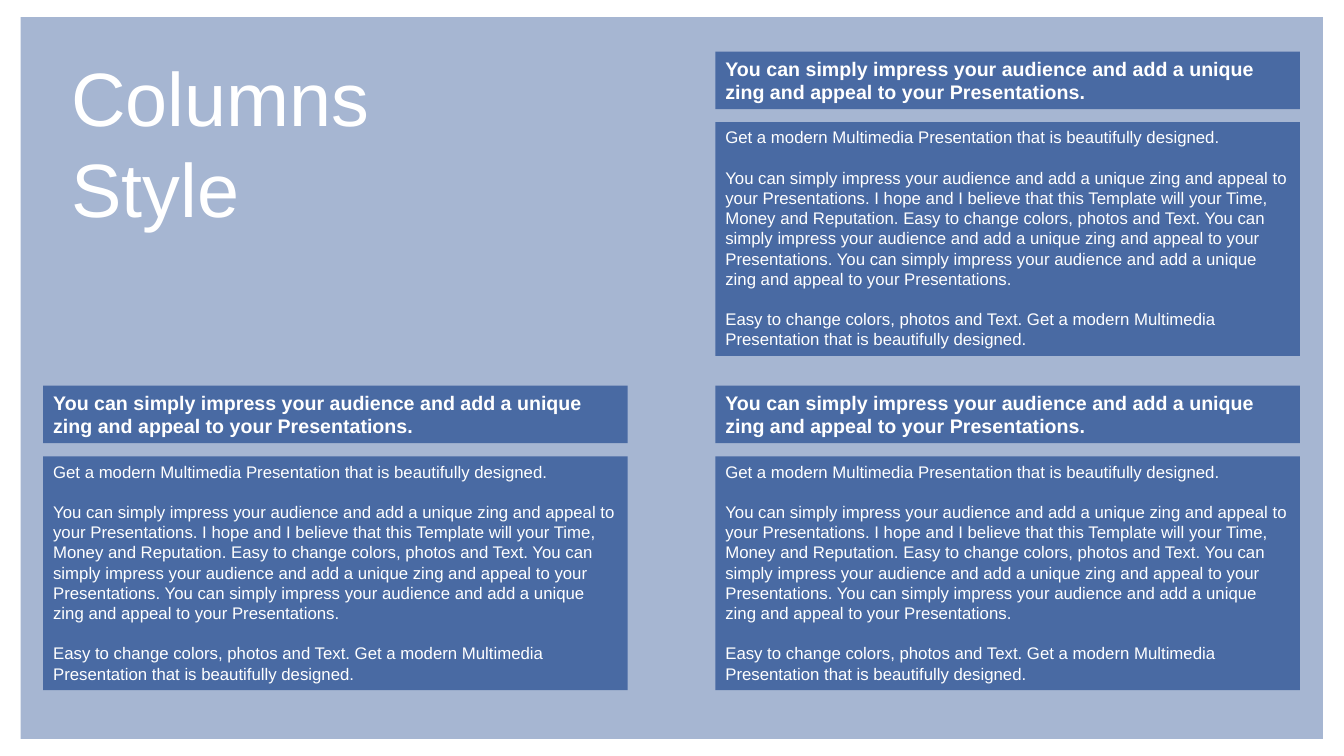
from lxml import etree
from pptx import Presentation
from pptx.dml.color import RGBColor
from pptx.enum.shapes import MSO_SHAPE
from pptx.enum.text import MSO_ANCHOR, PP_ALIGN
from pptx.oxml.ns import qn
from pptx.util import Cm, Pt

NAVY = "224A90"
WHITE = "FFFFFF"
HEADING = "You can simply impress your audience and add a unique zing and appeal to your Presentations."
BODY = [
    "Get a modern Multimedia Presentation that is beautifully designed.",
    "You can simply impress your audience and add a unique zing and appeal to your "
    "Presentations. I hope and I believe that this Template will your Time, Money and "
    "Reputation. Easy to change colors, photos and Text. You can simply impress your "
    "audience and add a unique zing and appeal to your Presentations. You can simply "
    "impress your audience and add a unique zing and appeal to your Presentations.",
    "Easy to change colors, photos and Text. Get a modern Multimedia Presentation that is "
    "beautifully designed.",
]


def add_panel(left, top, width, height, opacity):
    """Add a borderless navy rectangle; lengths in cm, opacity in percent."""
    panel = slide.shapes.add_shape(
        MSO_SHAPE.RECTANGLE, Cm(left), Cm(top), Cm(width), Cm(height))
    panel.shadow.inherit = False
    panel.line.fill.background()
    panel.fill.solid()
    panel.fill.fore_color.rgb = RGBColor.from_string(NAVY)
    color = panel.fill._xPr.find(qn("a:solidFill"))[0]
    etree.SubElement(color, qn("a:alpha")).set("val", str(opacity * 1000))
    return panel


def write(box, *paragraphs, size, bold=False, gap=0, anchor=MSO_ANCHOR.TOP):
    frame = box.text_frame
    frame.word_wrap = True
    frame.vertical_anchor = anchor
    for index, text in enumerate(paragraphs):
        paragraph = frame.add_paragraph() if index else frame.paragraphs[0]
        paragraph.alignment = PP_ALIGN.LEFT
        if index:
            paragraph.space_before = Pt(gap)
        run = paragraph.add_run()
        run.text = text
        run.font.name = "Arial"
        run.font.size = Pt(size)
        run.font.bold = bold
        run.font.color.rgb = RGBColor.from_string(WHITE)


prs = Presentation()
prs.slide_width, prs.slide_height = Cm(33.87), Cm(19.05)
slide = prs.slides.add_slide(prs.slide_layouts[6])

add_panel(0.52, 0.43, 32.82, 18.19, opacity=40)

title = slide.shapes.add_textbox(Cm(1.55), Cm(1.14), Cm(10.82), Cm(4.88))
write(title, "Columns Style", size=54, anchor=MSO_ANCHOR.MIDDLE)

left_column, right_column = 1.09, 18.03
upper_row, lower_row = 1.3, 9.72
for left, top in [(right_column, upper_row), (right_column, lower_row), (left_column, lower_row)]:
    heading = add_panel(left, top, 14.73, 1.45, opacity=70)
    write(heading, HEADING, size=14, bold=True)
    body = add_panel(left, top + 1.78, 14.73, 5.89, opacity=70)
    write(body, *BODY, size=12, gap=14.5)

prs.save("out.pptx")
